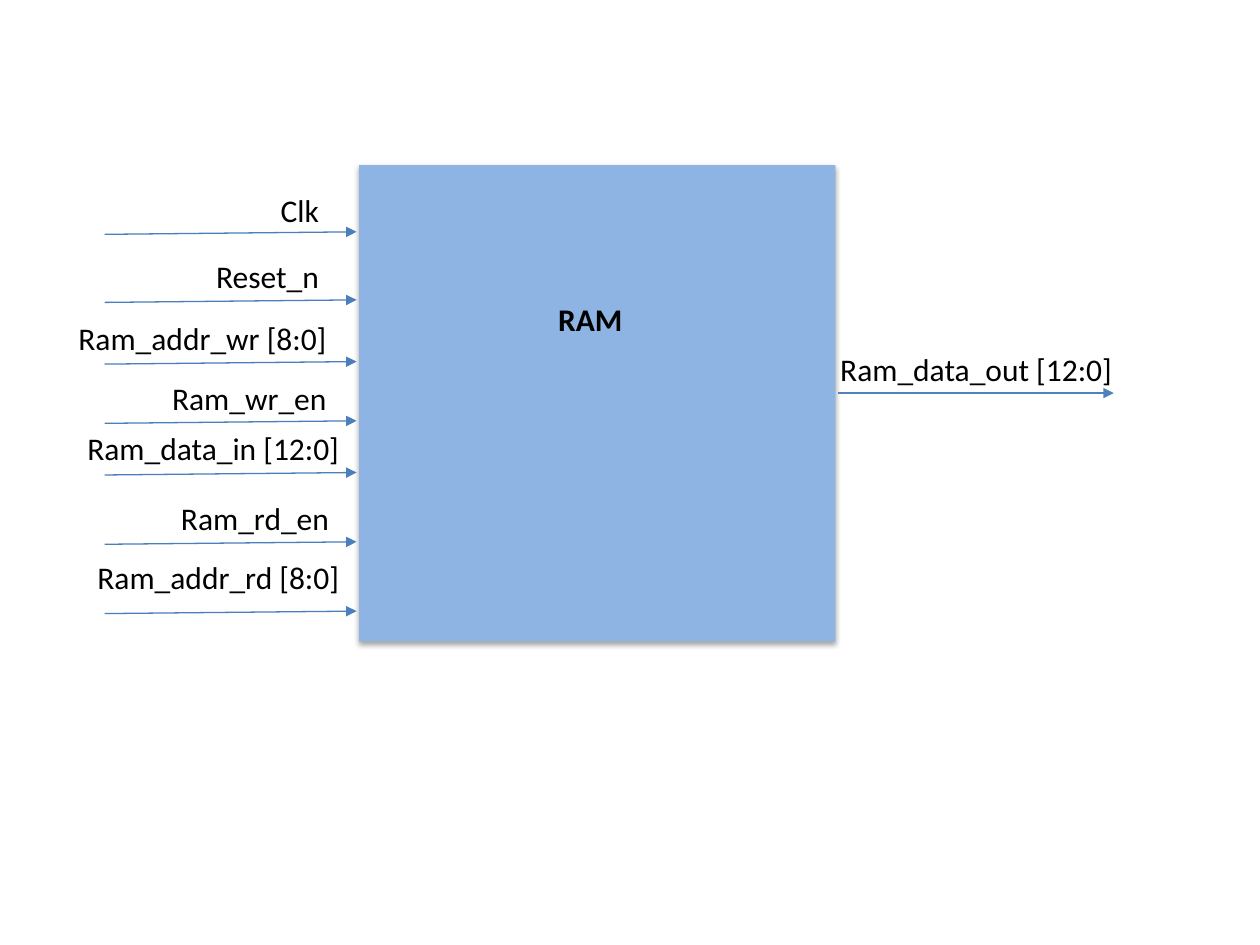
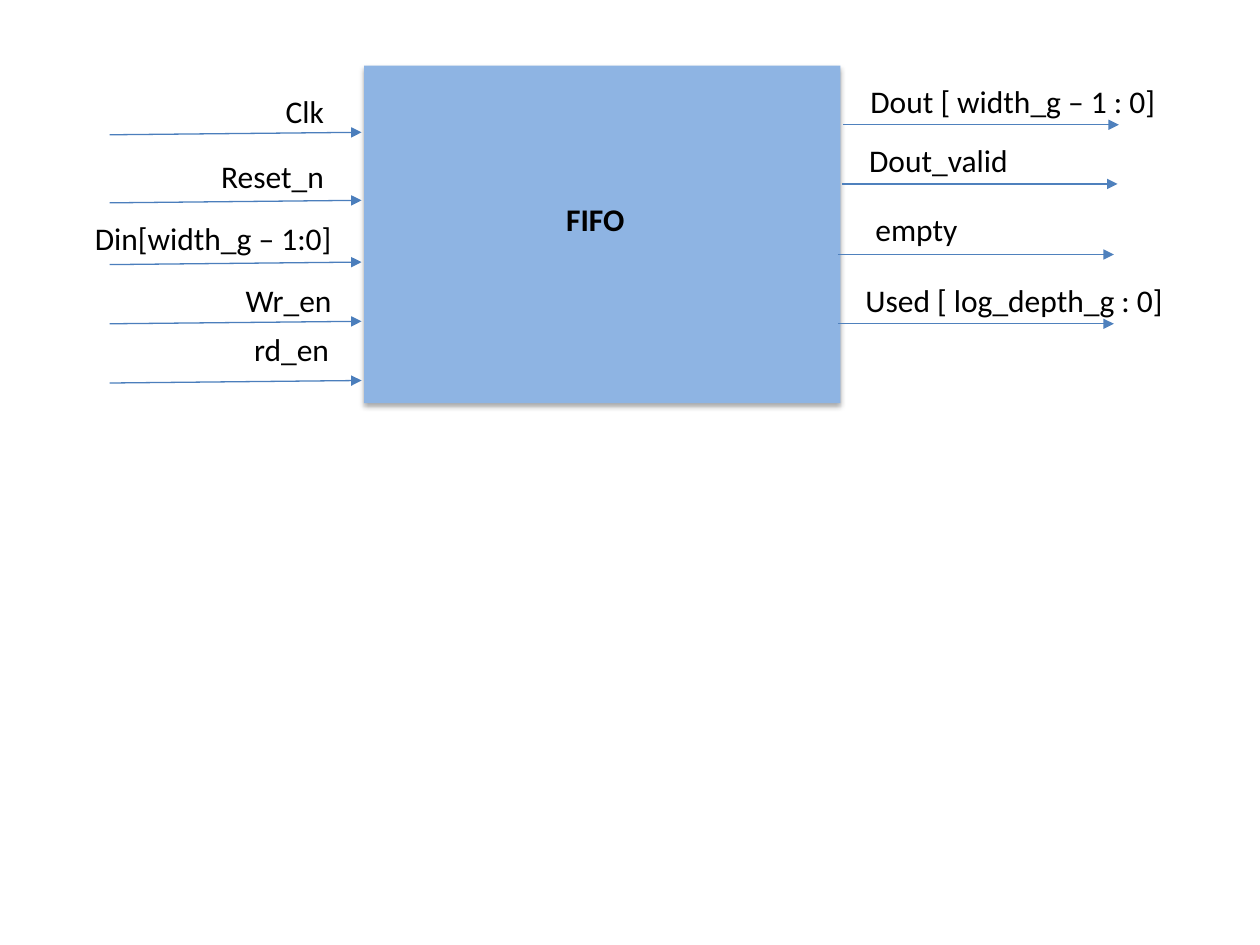
from dataclasses import dataclass
from typing import Any

from lxml.etree import SubElement
from pptx import Presentation
from pptx.dml.color import RGBColor
from pptx.enum.shapes import MSO_CONNECTOR, MSO_SHAPE
from pptx.enum.text import MSO_AUTO_SIZE, PP_ALIGN
from pptx.oxml.ns import qn
from pptx.slide import Slide
from pptx.util import Inches, Pt

COLS, ROWS = 100, 75
WIDE, HIGH = Inches(10), Inches(7.5)


@dataclass(frozen=True)
class Theme:
    """Colours, type and line sizes of the deck."""
    ink: RGBColor = RGBColor(0, 0, 0)
    block: RGBColor = RGBColor.from_string("8EB4E3")
    input: RGBColor = RGBColor.from_string("4B7EBC")
    output: RGBColor = RGBColor.from_string("4F81BD")
    font: str = "Calibri"
    size: Pt = Pt(18)
    line: Pt = Pt(0.75)


@dataclass(frozen=True)
class Side:
    """What all ports on one side of a block share."""
    run: float
    rise: float
    span: float
    align: PP_ALIGN
    color: RGBColor


@dataclass(frozen=True)
class Port:
    """A signal; places count from the block's top corner on its side."""
    name: str
    label: tuple[float, float]
    row: float
    col: float
    side: Side
    span: float = 0


@dataclass(frozen=True)
class Block:
    """A hardware block with its ports, in grid columns and rows."""
    name: str
    left: float
    top: float
    width: float
    height: float
    ports: tuple[Port, ...]


THEME = Theme()
LEFT = Side(20, -0.2, 22, PP_ALIGN.RIGHT, THEME.input)
RIGHT = Side(21.9, 0, 32, PP_ALIGN.LEFT, THEME.output)


def enter(name: str, col: float, row: float, stem: float) -> Port:
    """Describe an input port."""
    return Port(name, (col, row), stem, -20.2, LEFT)


def leave(name: str, col: float, row: float, stem: float,
          start: float = 0.2, span: float = 0) -> Port:
    """Describe an output port."""
    return Port(name, (col, row), stem, start, RIGHT, span)


SHARED = (
    enter("Clk", -24.2, 1.6, 5.5),
    enter("Reset_n", -24.2, 6.8, 10.9),
)
BLOCKS = (
    Block("RAM", 28.5, 13.1, 37.8, 37.8, SHARED + (
        enter("Ram_addr_wr [8:0]", -23.6, 11.7, 15.8),
        enter("Ram_wr_en", -23.6, 16.5, 20.5),
        enter("Ram_data_in [12:0]", -22.6, 20.5, 24.6),
        enter("Ram_rd_en", -23.4, 26, 30.1),
        enter("Ram_addr_rd [8:0]", -22.6, 30.7, 35.6),
        leave("Ram_data_out [12:0]", -0.6, 14.2, 18.1),
    )),
    Block("FIFO", 28.9, 5.2, 37.8, 26.8, SHARED + (
        enter("Din[width_g – 1:0]", -23.6, 11.7, 15.8),
        enter("Wr_en", -23.6, 16.6, 20.5),
        enter("rd_en", -23.8, 20.5, 25.2),
        leave("Dout [ width_g – 1 : 0]", 1.4, 0.8, 4.7, span=26),
        leave("Dout_valid", 1.3, 5.5, 9.4, 0.1),
        leave("empty", 1.8, 11, 15, -0.2, 31.3),
        leave("Used [ log_depth_g : 0]", 1, 16.6, 20.5, -0.2),
    )),
)


def style(item: Any, form: dict[str, Any]) -> None:
    """Set every attribute named in form."""
    for key, value in form.items():
        setattr(item, key, value)


def place(col: float, row: float) -> tuple[int, int]:
    """Turn grid columns and rows into slide lengths."""
    return round(col * WIDE / COLS), round(row * HIGH / ROWS)


def write(slide: Slide, text: str, col: float, row: float, span: float,
          align: PP_ALIGN, bold: bool = False) -> None:
    """Add one line of text in a box."""
    box = slide.shapes.add_textbox(*place(col, row), *place(span, 4))
    frame = box.text_frame
    style(frame, {"word_wrap": True,
                  "auto_size": MSO_AUTO_SIZE.SHAPE_TO_FIT_TEXT})
    line = frame.paragraphs[0]
    line.alignment = align
    run = line.add_run()
    run.text = text
    style(run.font, {"name": THEME.font, "size": THEME.size, "bold": bold})
    run.font.color.rgb = THEME.ink


def arrow(slide: Slide, col: float, row: float, side: Side) -> None:
    """Add a signal line with a triangle at its end."""
    wire = slide.shapes.add_connector(
        MSO_CONNECTOR.STRAIGHT, *place(col, row),
        *place(col + side.run, row + side.rise))
    wire.line.width = THEME.line
    wire.line.color.rgb = side.color
    props = wire.line._get_or_add_ln()
    SubElement(props, qn("a:tailEnd"), type="triangle")
    SubElement(wire._element.spPr, qn("a:effectLst"))


def body(slide: Slide, block: Block) -> None:
    """Add the filled block with a soft shadow and its name."""
    shape = slide.shapes.add_shape(
        MSO_SHAPE.RECTANGLE, *place(block.left, block.top),
        *place(block.width, block.height))
    shape.fill.solid()
    shape.fill.fore_color.rgb = THEME.block
    shape.line.fill.background()
    shape.shadow.inherit = False
    glow = SubElement(
        shape._element.spPr.find(qn("a:effectLst")), qn("a:outerShdw"),
        blurRad=str(Pt(3.1)), dist=str(Pt(1.8)), dir="5400000",
        rotWithShape="0")
    tint = SubElement(glow, qn("a:srgbClr"), val="000000")
    SubElement(tint, qn("a:alpha"), val="35000")
    write(slide, block.name, block.left + 5, block.top + 10.2, 26.7,
          PP_ALIGN.CENTER, True)


def draw(slide: Slide, block: Block) -> None:
    """Draw a block and all its ports."""
    body(slide, block)
    for port in block.ports:
        side = port.side
        edge = block.left + (block.width if side is RIGHT else 0)
        col, row = port.label
        arrow(slide, edge + port.col, block.top + port.row, side)
        write(slide, port.name, edge + col, block.top + row,
              port.span or side.span, side.align)


def main() -> None:
    """Build and save the deck."""
    deck = Presentation()
    style(deck, {"slide_width": WIDE, "slide_height": HIGH})
    for block in BLOCKS:
        draw(deck.slides.add_slide(deck.slide_layouts[6]), block)
    deck.save("out.pptx")


main()
